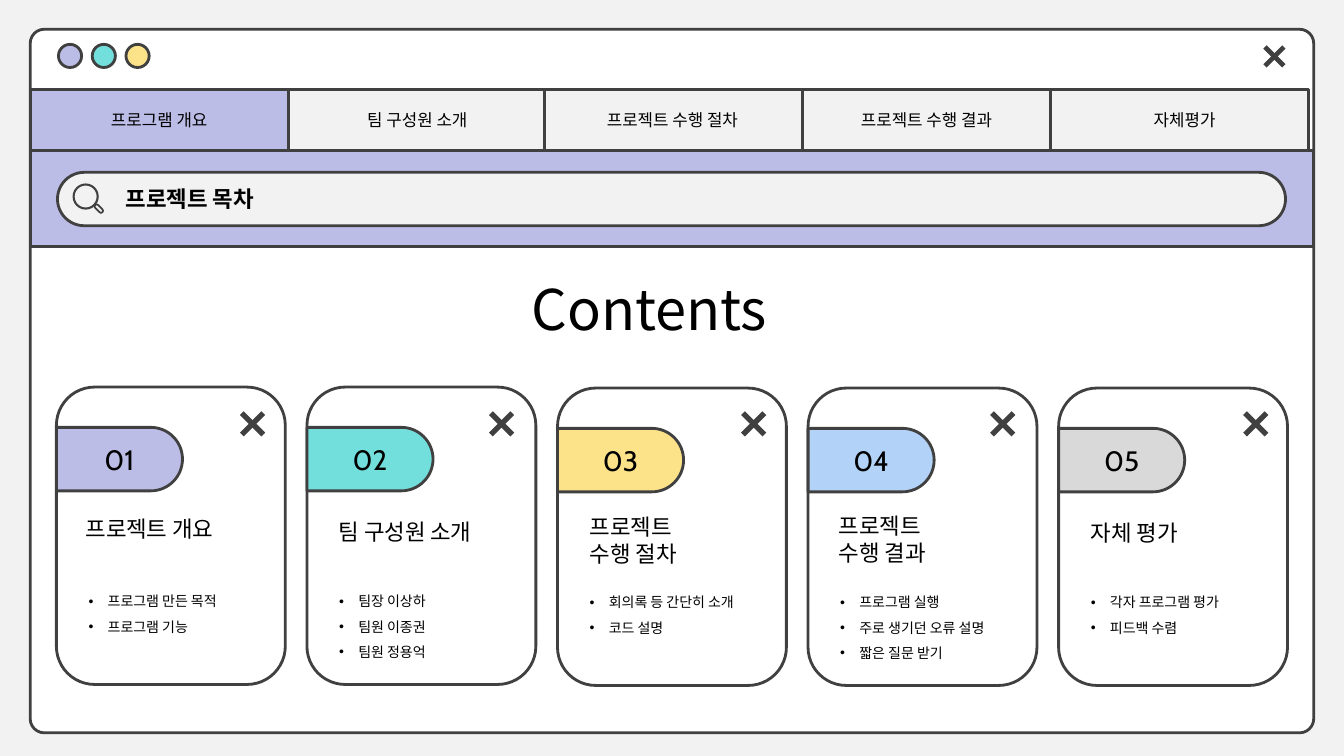
from dataclasses import dataclass
from math import cos, pi, sin

from lxml import etree
from pptx import Presentation
from pptx.dml.color import RGBColor
from pptx.enum.shapes import MSO_SHAPE as Preset
from pptx.enum.text import MSO_ANCHOR as Anchor, MSO_AUTO_SIZE as AutoSize, PP_ALIGN as Align
from pptx.oxml.ns import qn
from pptx.shapes.autoshape import Shape
from pptx.slide import Slide
from pptx.text.text import TextFrame
from pptx.util import Inches, Pt

INK = RGBColor(0x40, 0x40, 0x40)
BLACK = RGBColor(0, 0, 0)
WHITE = RGBColor(0xFF, 0xFF, 0xFF)
PALE = RGBColor(0xF2, 0xF2, 0xF2)
LILAC = RGBColor(0xBC, 0xBD, 0xE6)
TEAL = RGBColor(0x73, 0xDF, 0xDC)
YELLOW = RGBColor(0xFC, 0xE3, 0x8A)
BLUE = RGBColor(0xB3, 0xD2, 0xF7)
GRAY = RGBColor(0xD9, 0xD9, 0xD9)

CABIN = "Cabin"
NOTO = "Noto Sans CJK KR"
CARD_LEFT, CARD_PITCH = 0.56, 2.485
CARD_WIDTH, CARD_HEIGHT = 2.27, 2.95
BADGE_WIDTH, BADGE_HEIGHT = 1.25, 0.63


@dataclass(frozen=True)
class Tab:
    label: str
    left: float
    label_center: float
    fill: RGBColor = PALE


@dataclass(frozen=True)
class Card:
    heading: list[str]
    bullets: list[str]
    fill: RGBColor
    top: float
    heading_left: float
    heading_top: float
    close_left: float


TABS = [
    Tab("프로그램 개요", 0.3, 1.58, LILAC),
    Tab("팀 구성원 소개", 2.86, 4.14),
    Tab("프로젝트 수행 절차", 5.4, 6.67),
    Tab("프로젝트 수행 결과", 7.96, 9.19),
    Tab("자체평가", 10.42, 11.75),
]

CARDS = [
    Card(["프로젝트 개요"], ["프로그램 만든 목적", "프로그램 기능"],
         LILAC, 3.84, 0.75, 5.06, 2.38),
    Card(["팀 구성원 소개"], ["팀장 이상하", "팀원 이종권", "팀원 정용억"],
         TEAL, 3.84, 3.26, 5.09, 4.85),
    Card(["프로젝트", "수행 절차"], ["회의록 등 간단히 소개", "코드 설명"],
         YELLOW, 3.85, 5.75, 5.04, 7.35),
    Card(["프로젝트", "수행 결과"], ["프로그램 실행", "주로 생기던 오류 설명", "짧은 질문 받기"],
         BLUE, 3.85, 8.22, 5.03, 9.82),
    Card(["자체 평가"], ["각자 프로그램 평가", "피드백 수렴"],
         GRAY, 3.85, 10.72, 5.1, 12.33),
]


def paint(shape: Shape, fill: RGBColor | None, line: float = 2) -> None:
    shape.shadow.inherit = False
    if fill is None:
        shape.fill.background()
    else:
        shape.fill.solid()
        shape.fill.fore_color.rgb = fill
    if line:
        shape.line.color.rgb = INK
        shape.line.width = Pt(line)
    else:
        shape.line.fill.background()


def add_preset(slide: Slide, preset: Preset, left: float, top: float, width: float,
               height: float, fill: RGBColor | None, *, adjust: float | None = None,
               line: float = 2) -> Shape:
    shape = slide.shapes.add_shape(
        preset, Inches(left), Inches(top), Inches(width), Inches(height))
    if adjust is not None:
        shape.adjustments[0] = adjust
    paint(shape, fill, line)
    return shape


def add_outline(slide: Slide, points: list[tuple[float, float]], fill: RGBColor,
                line: float = 2) -> None:
    corners = [(Inches(x), Inches(y)) for x, y in points]
    builder = slide.shapes.build_freeform(*corners[0])
    builder.add_line_segments(corners[1:], close=True)
    paint(builder.convert_to_shape(), fill, line)


def write_text(frame: TextFrame, lines: list[str], *, size: float, font: str = CABIN,
               bold: bool = False, align: Align = Align.LEFT, bulleted: bool = False) -> None:
    frame.word_wrap = True
    frame.auto_size = AutoSize.SHAPE_TO_FIT_TEXT
    frame.vertical_anchor = Anchor.TOP
    frame.text = "\n".join(lines)
    for paragraph in frame.paragraphs:
        paragraph.alignment = align
        paragraph.line_spacing = 1.5 if bulleted else 1
        if bulleted:
            props = paragraph._p.get_or_add_pPr()
            props.set("marL", str(Inches(0.19)))
            props.set("indent", str(Inches(-0.19)))
            etree.SubElement(props, qn("a:buFont")).set("typeface", "Arial")
            etree.SubElement(props, qn("a:buChar")).set("char", "•")
        for run in paragraph.runs:
            run.font.size = Pt(size)
            run.font.name = font
            run.font.bold = bold
            run.font.color.rgb = BLACK
            etree.SubElement(run.font._element, qn("a:ea")).set("typeface", font)


def add_text(slide: Slide, lines: list[str], left: float, top: float, width: float,
             height: float, **text_format) -> None:
    box = slide.shapes.add_textbox(Inches(left), Inches(top), Inches(width), Inches(height))
    write_text(box.text_frame, lines, **text_format)


def add_close_mark(slide: Slide, left: float, top: float, size: float) -> None:
    notch = 0.15 * size
    bar = [(size - notch, size), (0, notch), (notch, 0), (size, size - notch)]
    add_outline(slide, [(left + x, top + y) for x, y in bar], INK, line=0)
    add_outline(slide, [(left + size - x, top + y) for x, y in bar], INK, line=0)


def add_badge(slide: Slide, left: float, top: float, fill: RGBColor) -> None:
    radius = BADGE_HEIGHT / 2
    steps = 32
    angles = [pi * step / steps - pi / 2 for step in range(steps + 1)]
    arc = [(left + BADGE_WIDTH - radius + radius * cos(angle),
            top + radius + radius * sin(angle)) for angle in angles]
    add_outline(slide, [(left, top), *arc, (left, top + BADGE_HEIGHT)], fill)


def add_title(slide: Slide) -> None:
    title = slide.shapes.title
    title.left, title.top = Inches(4.29), Inches(2.67)
    title.width, title.height = Inches(4.3), Inches(0.77)
    write_text(title.text_frame, ["Contents"], size=40, font=NOTO, align=Align.CENTER)
    title.element.getparent().append(title.element)


def add_window(slide: Slide) -> None:
    add_preset(slide, Preset.ROUNDED_RECTANGLE, 0.3, 0.29, 12.73, 6.98, WHITE, adjust=0.02)
    for index, fill in enumerate((LILAC, TEAL, YELLOW)):
        add_preset(slide, Preset.OVAL, 0.58 + 0.335 * index, 0.44, 0.23, 0.23, fill)
    add_close_mark(slide, 12.53, 0.45, 0.22)
    for tab in TABS:
        add_preset(slide, Preset.RECTANGLE, tab.left, 0.89, 2.56, 0.6, tab.fill)
    for tab in TABS:
        add_text(slide, [tab.label], tab.label_center - 1.28, 1.04, 2.56, 0.3,
                 size=12, align=Align.CENTER)


def add_search_bar(slide: Slide) -> None:
    add_preset(slide, Preset.RECTANGLE, 0.3, 1.49, 12.73, 0.96, LILAC)
    add_preset(slide, Preset.ROUNDED_RECTANGLE, 0.57, 1.71, 12.18, 0.53, PALE, adjust=0.5)
    add_preset(slide, Preset.DONUT, 0.72, 1.82, 0.26, 0.26, INK, adjust=0.08, line=0)
    handle = add_preset(slide, Preset.ROUNDED_RECTANGLE, 0.93, 2.05, 0.1, 0.04, None,
                        adjust=0.5, line=1.25)
    handle.rotation = 45
    add_text(slide, ["프로젝트 목차"], 1.15, 1.79, 10.27, 0.37, size=16, bold=True)


def add_card(slide: Slide, index: int, card: Card) -> None:
    left = CARD_LEFT + CARD_PITCH * index
    add_preset(slide, Preset.ROUNDED_RECTANGLE, left, card.top, CARD_WIDTH, CARD_HEIGHT,
               WHITE, adjust=0.167)
    add_badge(slide, left, card.top + 0.4, card.fill)
    add_text(slide, [f"{index + 1:02}"], left, card.top + 0.5, BADGE_WIDTH, 0.44,
             size=20, align=Align.CENTER)
    add_text(slide, card.heading, card.heading_left, card.heading_top, 2.05,
             0.1 + 0.27 * len(card.heading), size=16)
    add_text(slide, card.bullets, left + 0.22, card.top + 1.91, 2.05,
             0.11 + 0.25 * len(card.bullets), size=10, font=NOTO, bulleted=True)
    add_close_mark(slide, card.close_left, 4.08, 0.25)


def main() -> None:
    deck = Presentation()
    deck.slide_width, deck.slide_height = Inches(13.33), Inches(7.5)
    slide = deck.slides.add_slide(deck.slide_layouts[5])
    slide.background.fill.solid()
    slide.background.fill.fore_color.rgb = PALE
    add_window(slide)
    add_search_bar(slide)
    add_title(slide)
    for index, card in enumerate(CARDS):
        add_card(slide, index, card)
    deck.save("out.pptx")


if __name__ == "__main__":
    main()
